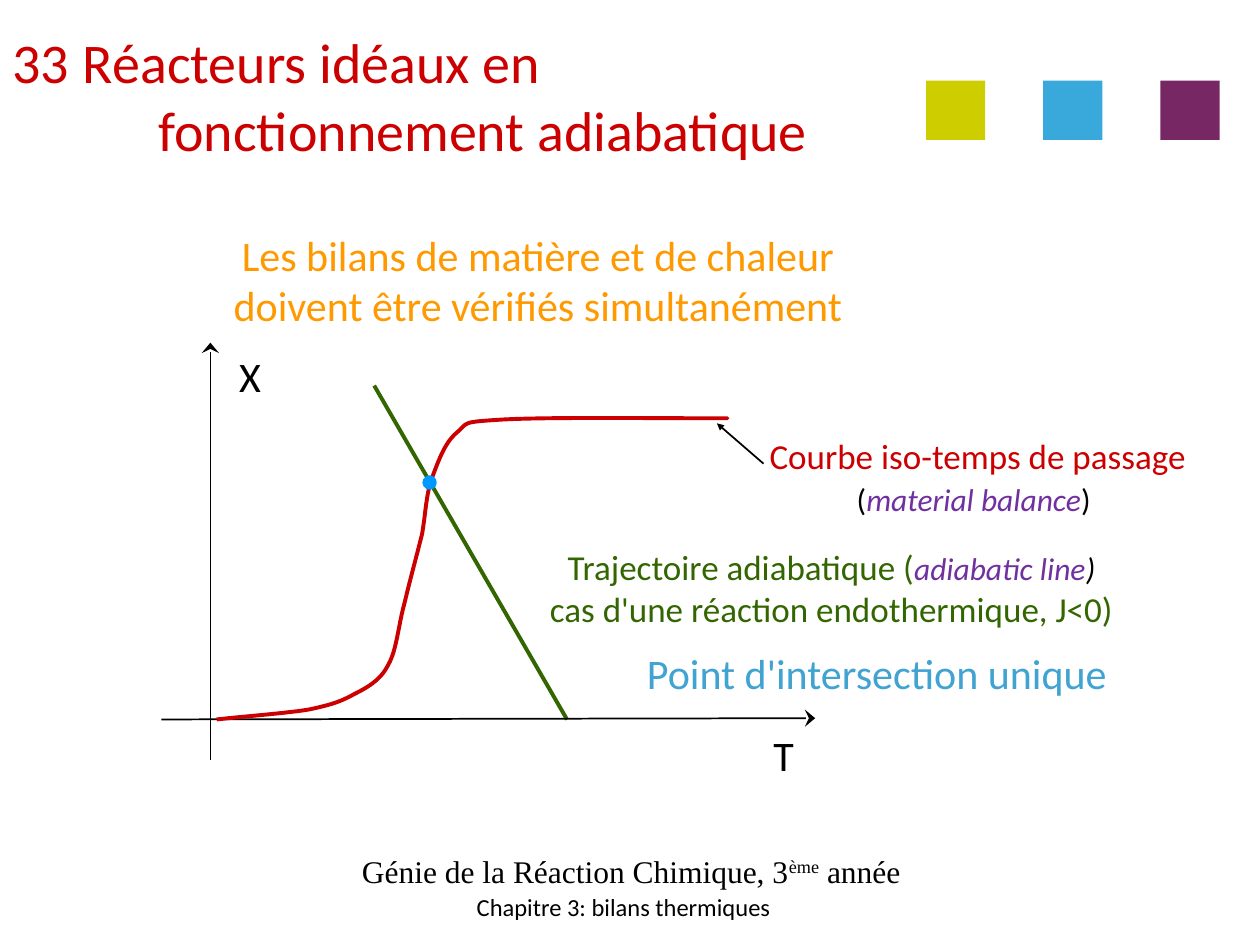
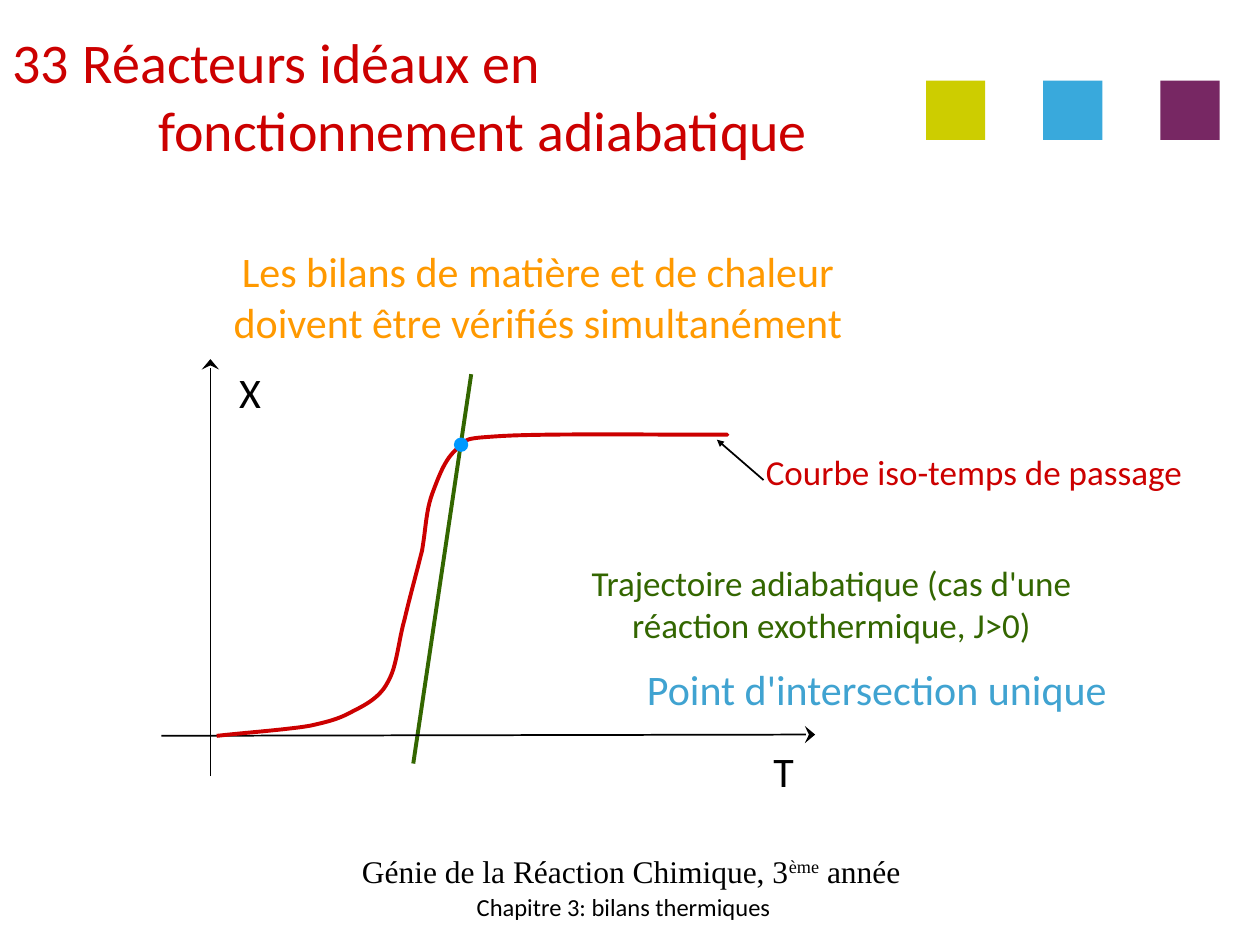
"""Build two slides on ideal reactors in adiabatic operation."""
from dataclasses import dataclass

from lxml.etree import SubElement
from pptx import Presentation
from pptx.dml.color import RGBColor
from pptx.enum.shapes import MSO_CONNECTOR, MSO_SHAPE
from pptx.enum.text import MSO_ANCHOR, PP_ALIGN
from pptx.oxml.ns import qn
from pptx.util import Emu, Inches, Pt


@dataclass(frozen=True)
class Theme:
    red: str = "CC0000"
    orange: str = "FF9900"
    green: str = "336600"
    blue: str = "40A3D1"
    dot: str = "0099FF"
    violet: str = "7030A0"
    black: str = "000000"
    squares: tuple = ("CDCD00", "39A9DC", "772763")
    font: str = "Calibri"
    footer_font: str = "Times New Roman"
    title: int = 32
    statement: int = 24
    label: int = 20
    detail: int = 18
    chapter: int = 14
    thin: float = 1
    thick: float = 2.25


THEME = Theme()
WIDTH, HEIGHT = Inches(10), Inches(7.5)
COLUMNS, ROWS = 10, 7.5

TITLE = ["Réacteurs idéaux en", "\tfonctionnement adiabatique"]
TITLE_NUMBER = 33
COURSE = [["Génie de la Réaction Chimique, 3", ("ème", {"raised": True}), " année"]]
CHAPTER = [["Chapitre 3: bilans thermiques"]]
STATEMENT = [["Les bilans de matière et de chaleur"],
             ["doivent être vérifiés simultanément"]]
INTERSECTION = [["Point d'intersection unique"]]

DETAIL = {"size": THEME.detail, "color": THEME.black}
ENGLISH = {"size": THEME.detail, "color": THEME.violet, "italic": True}
CURVE_NAME = ["Courbe iso-temps de passage"]

CASES = [
    {
        "drop": 0,
        "curve_middle": 7.76,
        "curve_label": [CURVE_NAME, [
            ("(", DETAIL), ("material balance", ENGLISH), (")", DETAIL), " "]],
        "trajectory_label": [
            ["Trajectoire adiabatique (", ("adiabatic line", ENGLISH),
             (")", DETAIL | {"italic": True})],
            ["cas d'une réaction endothermique, J<0)"]],
        "trajectory": ((2.97, 3.06), (4.5, 5.71)),
        "intersection": (3.41, 3.83),
    },
    {
        "drop": 0.13,
        "curve_middle": 7.73,
        "curve_label": [CURVE_NAME],
        "trajectory_label": [["Trajectoire adiabatique (cas d'une"],
                             ["réaction exothermique, J>0)"]],
        "trajectory": ((3.28, 5.93), (3.74, 2.84)),
        "intersection": (3.66, 3.4),
    },
]

AXES = [((1.67, 6.03), (1.67, 2.72)), ((1.28, 5.71), (6.47, 5.7))]
AXIS_NAMES = [("X", 1.8, 2.73), ("T", 6.04, 5.74)]
POINTER = ((6.06, 3.68), (5.69, 3.36))
CURVE_START = (1.72, 5.71)
CURVE = [
    ((2, 5.68), (2.28, 5.66), (2.46, 5.63)),
    ((2.64, 5.59), (2.7, 5.57), (2.81, 5.51)),
    ((2.91, 5.46), (3.02, 5.4), (3.08, 5.28)),
    ((3.15, 5.16), (3.16, 4.97), (3.21, 4.79)),
    ((3.25, 4.62), (3.31, 4.4), (3.35, 4.24)),
    ((3.38, 4.07), (3.38, 3.93), (3.43, 3.79)),
    ((3.48, 3.66), (3.53, 3.51), (3.63, 3.43)),
    ((3.72, 3.35), (3.66, 3.35), (3.99, 3.33)),
    ((4.31, 3.31), (5.27, 3.32), (5.56, 3.32)),
    ((5.85, 3.32), (5.78, 3.32), (5.72, 3.32)),
]
CURVE_STEPS = 12


def across(columns):
    return Emu(round(WIDTH * columns / COLUMNS))


def down(rows):
    return Emu(round(HEIGHT * rows / ROWS))


def place(left, top, width, height):
    return across(left), down(top), across(width), down(height)


def centred(middle, top, width, height):
    return place(middle - width / 2, top, width, height)


def write(slide, box, paragraphs, size, color=THEME.black, font=THEME.font,
          align=PP_ALIGN.CENTER, anchor=MSO_ANCHOR.TOP, wrap=False, layout=None):
    frame = slide.shapes.add_textbox(*box).text_frame
    frame.word_wrap = wrap
    frame.vertical_anchor = anchor
    for index, runs in enumerate(paragraphs):
        paragraph = frame.paragraphs[0] if index == 0 else frame.add_paragraph()
        paragraph.alignment = align
        if layout:
            layout(paragraph, index)
        for item in runs:
            words, style = (item, {}) if isinstance(item, str) else item
            run = paragraph.add_run()
            run.text = words
            run.font.name = font
            run.font.size = Pt(style.get("size", size))
            run.font.color.rgb = RGBColor.from_string(style.get("color", color))
            run.font.italic = style.get("italic")
            if style.get("raised"):
                run._r.get_or_add_rPr().set("baseline", "30000")


def number_title(paragraph, index):
    properties = paragraph._p.get_or_add_pPr()
    if index == 0:
        properties.set("marL", str(across(0.56)))
        properties.set("indent", str(-across(0.56)))
        SubElement(properties, qn("a:buAutoNum"), type="arabicPlain",
                   startAt=str(TITLE_NUMBER))
    tabs = SubElement(properties, qn("a:tabLst"))
    SubElement(tabs, qn("a:tab"), pos=str(across(1.16)), algn="l")


def stroke(line, color, weight):
    line.color.rgb = RGBColor.from_string(color)
    line.width = Pt(weight)


def draw_line(slide, ends, drop, color=THEME.black, weight=THEME.thin, arrow=None):
    (x1, y1), (x2, y2) = ends
    connector = slide.shapes.add_connector(
        MSO_CONNECTOR.STRAIGHT, across(x1), down(y1 + drop), across(x2), down(y2 + drop))
    stroke(connector.line, color, weight)
    if arrow:
        kind, breadth, length = arrow
        SubElement(connector.line._get_or_add_ln(), qn("a:tailEnd"),
                   type=kind, w=breadth, len=length)
    SubElement(connector._element.spPr, qn("a:effectLst"))


def draw_solid(slide, preset, box, color):
    solid = slide.shapes.add_shape(preset, *box)
    solid.shadow.inherit = False
    solid.fill.solid()
    solid.fill.fore_color.rgb = RGBColor.from_string(color)
    return solid


def curve_points(drop):
    start = CURVE_START
    for first, second, end in CURVE:
        for step in range(1, CURVE_STEPS + 1):
            t = step / CURVE_STEPS
            weights = ((1 - t) ** 3, 3 * t * (1 - t) ** 2, 3 * t * t * (1 - t), t ** 3)
            x, y = (sum(w * v for w, v in zip(weights, values))
                    for values in zip(start, first, second, end))
            yield across(x), down(y + drop)
        start = end


def draw_curve(slide, drop):
    x, y = CURVE_START
    builder = slide.shapes.build_freeform(across(x), down(y + drop))
    builder.add_line_segments(curve_points(drop), close=False)
    curve = builder.convert_to_shape()
    curve.shadow.inherit = False
    curve.fill.background()
    stroke(curve.line, THEME.red, THEME.thick)


def draw_frame(slide):
    for index, color in enumerate(THEME.squares):
        square = draw_solid(slide, MSO_SHAPE.RECTANGLE,
                            place(7.35 + 0.93 * index, 0.64, 0.47, 0.47), color)
        square.line.fill.background()
    write(slide, centred(4.95, 6.95, 3.2, 0.5), CHAPTER, THEME.chapter,
          anchor=MSO_ANCHOR.MIDDLE)
    write(slide, centred(5.01, 6.66, 4.8, 0.5), COURSE, THEME.detail,
          font=THEME.footer_font, anchor=MSO_ANCHOR.MIDDLE)
    write(slide, place(0, 0.13, 8.53, 1.25), [[line] for line in TITLE], THEME.title,
          THEME.red, align=PP_ALIGN.LEFT, anchor=MSO_ANCHOR.MIDDLE, wrap=True,
          layout=number_title)


def draw_case(slide, case):
    drop = case["drop"]
    write(slide, centred(4.27, 1.77 + drop, 5.16, 0.91), STATEMENT,
          THEME.statement, THEME.orange)
    curve_label = case["curve_label"]
    write(slide, centred(case["curve_middle"], 3.4 + drop, 3.6, 0.4 * len(curve_label)),
          curve_label, THEME.label, THEME.red)
    draw_line(slide, POINTER, drop, arrow=("triangle", "sm", "sm"))
    draw_line(slide, case["trajectory"], drop, THEME.green, THEME.thick)
    write(slide, centred(6.6, 4.28 + drop, 4.84, 0.77), case["trajectory_label"],
          THEME.label, THEME.green)
    for axis in AXES:
        draw_line(slide, axis, drop, arrow=("stealth", "lg", "med"))
    draw_curve(slide, drop)
    for name, left, top in AXIS_NAMES:
        write(slide, place(left, top + drop, 0.38, 0.51), [[name]], THEME.statement,
              align=PP_ALIGN.LEFT)
    write(slide, centred(6.96, 5.09 + drop, 3.96, 0.51), INTERSECTION,
          THEME.statement, THEME.blue)
    x, y = case["intersection"]
    dot = draw_solid(slide, MSO_SHAPE.OVAL, centred(x, y - 0.05 + drop, 0.1, 0.1), THEME.dot)
    stroke(dot.line, THEME.dot, THEME.thin)


def main():
    deck = Presentation()
    deck.slide_width, deck.slide_height = WIDTH, HEIGHT
    for case in CASES:
        slide = deck.slides.add_slide(deck.slide_layouts[6])
        draw_frame(slide)
        draw_case(slide, case)
    deck.save("out.pptx")


if __name__ == "__main__":
    main()
